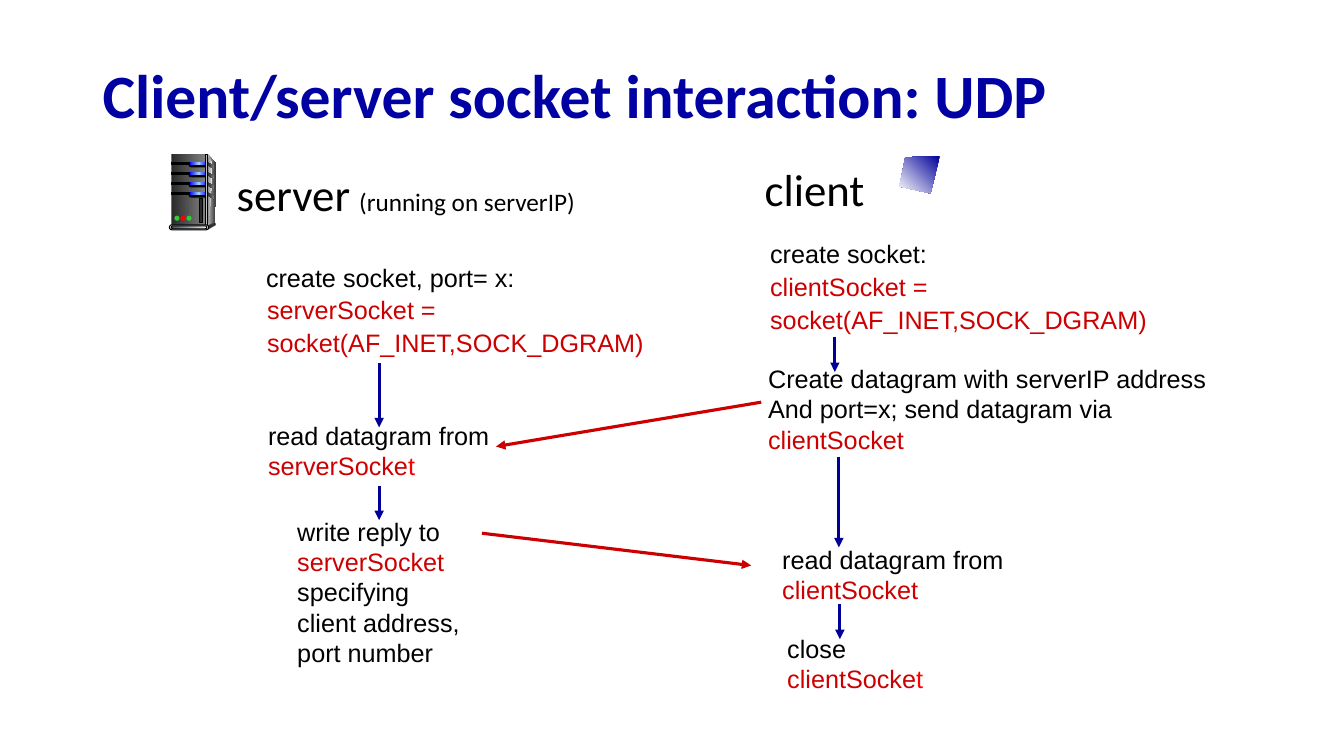
"""Build the slide on client and server socket interaction over UDP."""
from lxml.etree import SubElement
from pptx import Presentation
from pptx.dml.color import RGBColor
from pptx.enum.shapes import MSO_CONNECTOR, MSO_SHAPE as Preset
from pptx.enum.text import MSO_ANCHOR, MSO_AUTO_SIZE, PP_ALIGN
from pptx.oxml.ns import qn
from pptx.util import Inches, Pt

BLACK = RGBColor(0, 0, 0)
RED = RGBColor(0xCC, 0, 0)
PURE_RED = RGBColor(0xFF, 0, 0)
TITLE_BLUE = RGBColor(0, 0, 0xA3)
NAVY = RGBColor(0, 0, 0x99)
WHITE = RGBColor(0xFF, 0xFF, 0xFF)
COAL = RGBColor(0x29, 0x29, 0x29)
DARK = RGBColor(0x33, 0x33, 0x33)
GREY = RGBColor(0x80, 0x80, 0x80)
SILVER = RGBColor(0xDD, 0xDD, 0xDD)
PALE = RGBColor(0xF8, 0xF8, 0xF8)
BLUE = RGBColor(0, 0, 0xFF)
SKY = RGBColor(0x99, 0xCC, 0xFF)
SLATE = RGBColor(0x44, 0x54, 0x6A)
MIST = RGBColor(0xE7, 0xE6, 0xE6)
GREEN = RGBColor(0x33, 0xCC, 0x33)


class SlideWriter:
    def __init__(self, slide, body_font="Arial", head_font="Calibri", size=18):
        self.shapes = slide.shapes
        self.body_font = body_font
        self.head_font = head_font
        self.size = size

    def text(self, box, paragraphs, font=None, bold=False, wrap=False,
             align=None, line_spacing=None, gap=0):
        frame = self.shapes.add_textbox(*map(Inches, box)).text_frame
        frame.word_wrap = wrap
        frame.vertical_anchor = MSO_ANCHOR.MIDDLE
        if not wrap:
            frame.auto_size = MSO_AUTO_SIZE.SHAPE_TO_FIT_TEXT
        for index, runs in enumerate(paragraphs):
            paragraph = frame.add_paragraph() if index else frame.paragraphs[0]
            paragraph.alignment = align
            paragraph.line_spacing = line_spacing
            if index and gap:
                paragraph.space_before = Pt(gap)
            for words, color, *size in runs:
                run = paragraph.add_run()
                run.text = words
                run.font.name = font or self.body_font
                run.font.size = Pt(size[0] if size else self.size)
                run.font.bold = bold
                run.font.color.rgb = color

    def heading(self, box, runs):
        self.text(box, [runs], font=self.head_font, align=PP_ALIGN.CENTER)

    def socket_call(self, left, top, name):
        self.text((left, top, 3.98, 0.73),
                  [[(f"{name} =", RED)], [("socket(AF_INET,SOCK_DGRAM)", RED)]],
                  line_spacing=Pt(20), gap=3.6)

    def arrow(self, start, end, color=NAVY):
        arrow = self.shapes.add_connector(
            MSO_CONNECTOR.STRAIGHT, *map(Inches, (*start, *end)))
        arrow.line.color.rgb = color
        arrow.line.width = Pt(2.25)
        properties = arrow._element.spPr
        SubElement(properties.find(qn("a:ln")), qn("a:tailEnd"), type="triangle")
        SubElement(properties, qn("a:effectLst"))

    def paint(self, shape, colors, angle=0, outlined=False):
        shape.shadow.inherit = False
        if len(colors) == 1:
            shape.fill.solid()
            shape.fill.fore_color.rgb = colors[0]
        else:
            shape.fill.gradient()
            shape.fill.gradient_angle = angle
            stops = shape._element.spPr.find(qn("a:gradFill")).find(qn("a:gsLst"))
            for stop in list(stops):
                stops.remove(stop)
            for index, color in enumerate(colors):
                place = index * 100000 // (len(colors) - 1)
                stop = SubElement(stops, qn("a:gs"), pos=str(place))
                SubElement(stop, qn("a:srgbClr"), val=str(color))
        if outlined:
            shape.line.color.rgb = BLACK
            shape.line.width = Pt(0.75)
        else:
            shape.line.fill.background()

    def preset(self, kind, box, *colors, outlined=False):
        shape = self.shapes.add_shape(kind, *map(Inches, box))
        if kind == Preset.ROUNDED_RECTANGLE:
            shape.adjustments[0] = 0.5
        self.paint(shape, colors, outlined=outlined)

    def outline(self, points, *colors, angle=0):
        corners = [(Inches(x), Inches(y)) for x, y in points]
        builder = self.shapes.build_freeform(*corners[0])
        builder.add_line_segments(corners[1:], close=True)
        self.paint(builder.convert_to_shape(), colors, angle)

    def server_tower(self):
        rows = [1.61 + 0.1 * row for row in range(4)]
        self.outline([(2.06, 1.53), (2.14, 1.62), (2.13, 2.22), (2.04, 2.25)],
                     SILVER, DARK)
        self.preset(Preset.RECTANGLE, (1.7, 1.53, 0.34, 0.72), COAL, GREY)
        self.outline([(2.06, 1.57), (2.09, 1.59), (2.11, 1.63), (2.08, 2.1),
                      (2.06, 2.23)], GREY, PALE)
        for top in rows:
            self.preset(Preset.RECTANGLE, (1.7, top, 0.19, 0.02), BLACK, outlined=True)
            self.preset(Preset.ROUNDED_RECTANGLE, (1.87, top, 0.19, 0.05), BLACK)
            self.preset(Preset.ROUNDED_RECTANGLE, (1.88, top, 0.18, 0.03),
                        BLUE, SKY, BLUE)
        self.preset(Preset.RECTANGLE, (2.04, 1.53, 0.02, 0.72),
                    DARK, SILVER, DARK, outlined=True)
        for top in rows:
            self.outline([(2.06, top), (2.13, top + 0.04), (2.13, top + 0.07),
                          (2.06, top + 0.03)], COAL, GREY)
        self.preset(Preset.OVAL, (2.12, 2.21, 0.02, 0.03), DARK)
        self.outline([(2.05, 2.24), (2.06, 2.28), (2.13, 2.24), (2.13, 2.21)], DARK)
        self.preset(Preset.ROUNDED_RECTANGLE, (1.68, 2.23, 0.39, 0.05),
                    SILVER, outlined=True)
        self.preset(Preset.ROUNDED_RECTANGLE, (1.7, 2.24, 0.35, 0.03),
                    SLATE, MIST, outlined=True)
        for index, lamp in enumerate((GREEN, PURE_RED, GREEN)):
            self.preset(Preset.OVAL, (1.73 + 0.06 * index, 2.14, 0.05, 0.05), lamp)
        self.preset(Preset.RECTANGLE, (1.98, 1.97, 0.03, 0.24), COAL, outlined=True)


def main():
    deck = Presentation()
    deck.slide_width, deck.slide_height = Inches(13.33), Inches(7.5)
    writer = SlideWriter(deck.slides.add_slide(deck.slide_layouts[6]))

    writer.text((0.92, 0.49, 11.5, 0.98),
                [[("Client/server socket interaction: UDP", TITLE_BLUE, 44)]],
                font=writer.head_font, bold=True, wrap=True, line_spacing=0.9)

    writer.text((7.71, 6.23, 1.56, 0.71),
                [[("close", BLACK)], [("clientSocke", RED), ("t", PURE_RED)]])
    writer.text((7.66, 5.34, 2.42, 0.71),
                [[("read datagram from", BLACK)], [("clientSocket", RED)]])
    writer.text((7.54, 2.31, 1.77, 0.4), [[("create socket:", BLACK)]])
    writer.socket_call(7.54, 2.65, "clientSocket")
    writer.text((7.52, 3.55, 4.59, 1.01),
                [[("Create datagram with serverIP address", BLACK)],
                 [("And port=x; send datagram via", BLACK)],
                 [("clientSocket", RED)]])

    writer.text((2.54, 2.55, 2.69, 0.4), [[("create socket, port= x:", BLACK)]])
    writer.socket_call(2.55, 2.88, "serverSocket")
    writer.text((2.56, 4.11, 2.42, 0.71),
                [[("read datagram from", BLACK)],
                 [("serverSocke", RED), ("t", PURE_RED)]])
    writer.text((2.85, 5.06, 1.84, 1.62),
                [[("write reply to", BLACK)], [("serverSocket", RED)],
                 [("specifying", BLACK)], [("client address,", BLACK)],
                 [("port number", BLACK)]])

    for x, top, bottom in ((8.33, 5.99, 6.34), (8.32, 4.53, 5.43),
                           (8.28, 3.34, 3.69), (3.76, 3.6, 4.24),
                           (3.76, 4.82, 5.16)):
        writer.arrow((x, top), (x, bottom))
    writer.arrow((7.55, 3.99), (4.92, 4.43), RED)
    writer.arrow((4.78, 5.29), (7.45, 5.61), RED)

    writer.heading((2.23, 1.6, 3.59, 0.64),
                   [("server", BLACK, 32), (" ", BLACK, 28),
                    ("(running on serverIP)", BLACK)])
    writer.heading((7.48, 1.55, 1.2, 0.64), [("client", BLACK, 32)])
    writer.server_tower()
    writer.outline([(9.32, 1.55), (8.98, 1.56), (8.92, 1.85), (9.23, 1.92)],
                   NAVY, WHITE, angle=225)
    deck.save("out.pptx")


if __name__ == "__main__":
    main()
